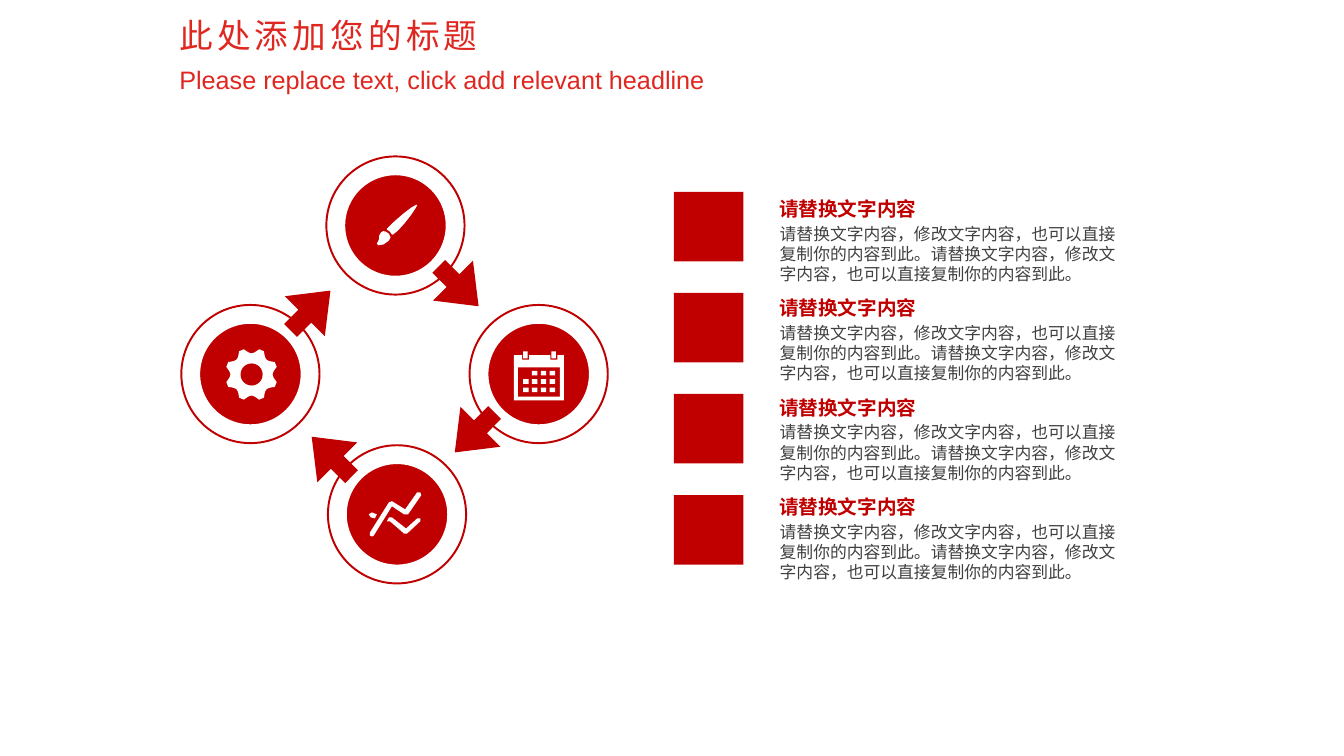
from math import cos, radians, sin

from pptx import Presentation
from pptx.dml.color import RGBColor
from pptx.enum.shapes import MSO_SHAPE
from pptx.enum.text import MSO_ANCHOR, MSO_AUTO_SIZE
from pptx.util import Pt

RED = RGBColor(0xC0, 0x00, 0x00)
TITLE = RGBColor(0xDF, 0x27, 0x20)
GRAY = RGBColor(0x40, 0x40, 0x40)
WHITE = RGBColor(0xFF, 0xFF, 0xFF)
OVAL, RECT, ARROW = MSO_SHAPE.OVAL, MSO_SHAPE.RECTANGLE, MSO_SHAPE.RIGHT_ARROW
TOP, MIDDLE = MSO_ANCHOR.TOP, MSO_ANCHOR.MIDDLE
GROW = MSO_AUTO_SIZE.SHAPE_TO_FIT_TEXT

HEAD = "请替换文字内容"
BODY = "请替换文字内容，修改文字内容，也可以直接复制你的内容到此。" * 2

BRUSH = [
    [(15.5, -14.4), (14.9, -14.9), (11.5, -13), (6, -8.8), (1, -4.5),
     (-2.5, -1.4), (-6.1, 2.2), (-6.1, 2.9), (-4, 4.3), (-2.5, 6.5),
     (-1.8, 6.5), (1.8, 3.6), (6.5, -1.6), (11.5, -8), (14.5, -12.6)],
    [(-10.4, 5), (-11.6, 7.2), (-11.7, 9.7), (-13.3, 13), (-12.2, 14.1),
     (-8.5, 13.5), (-4.7, 10.8), (-3.5, 8.3), (-4.7, 5.8), (-7, 4.3), (-8.8, 4)],
]
TREND = [
    [(-3.6, -5.8), (5, 0), (7.9, 0), (17.3, -13.7), (16.6, -15.8),
     (14.4, -15.8), (5.8, -3.6), (-3.6, -9.4), (-5.8, -8.6),
     (-19.4, 13), (-19.4, 15.1), (-18, 15.8), (-16.6, 15.1)],
    [(14.4, 2.9), (6.5, 10.1), (-3.6, 2.2), (-5.8, 2.2), (-7.2, 5),
     (-5, 5), (5, 13.7), (7.2, 13.7), (16.6, 5), (16.6, 2.9)],
    [(-18.7, 2.2), (-15.8, 2.9), (-14.4, 0), (-18, -1.4), (-20.2, 0)],
]
FRAME = [
    [(-17.8, -13.5), (-11.9, -13.5), (-11.9, -10.4), (-6.8, -10.4),
     (-6.8, -13.5), (8.3, -13.5), (8.3, -10.4), (13.3, -10.4),
     (13.3, -13.5), (18, -13.5), (18, 18.8), (-17.8, 18.8)],
    [(-14.8, -4.7), (-14.8, 16.2), (15.2, 16.2), (15.2, -4.7)],
]


def paint(shape, fill=None, line=None, weight=1):
    shape.shadow.inherit = False
    if fill is None:
        shape.fill.background()
    else:
        shape.fill.solid()
        shape.fill.fore_color.rgb = fill
    if line is None:
        shape.line.fill.background()
    else:
        shape.line.color.rgb = line
        shape.line.width = Pt(weight)
    return shape


def block(slide, kind, x, y, w, h, **style):
    shape = slide.shapes.add_shape(kind, Pt(x), Pt(y), Pt(w), Pt(h))
    return paint(shape, **style)


def disc(slide, x, y, size, **style):
    """Circle centred on x, y."""
    return block(slide, OVAL, x - size / 2, y - size / 2, size, size, **style)


def trace(slide, x, y, loops):
    """White outline whose loops are given in points around x, y."""
    pen = None
    for loop in loops:
        dots = [(round(a * 100), round(b * 100)) for a, b in loop]
        if pen is None:
            pen = slide.shapes.build_freeform(*dots[0], scale=Pt(1) / 100)
        else:
            pen.move_to(*dots[0])
        pen.add_line_segments(dots[1:], close=True)
    paint(pen.convert_to_shape(Pt(x), Pt(y)), fill=WHITE)


def write(slide, text, x, y, w, h, size, color, bold=False, anchor=TOP,
          wrap=True, lead=None, track=None):
    box = slide.shapes.add_textbox(Pt(x), Pt(y), Pt(w), Pt(h))
    frame = box.text_frame
    frame.word_wrap = wrap
    frame.auto_size = GROW
    frame.vertical_anchor = anchor
    para = frame.paragraphs[0]
    if lead:
        para.line_spacing = lead
    run = para.add_run()
    run.text = text
    font = run.font
    font.name, font.size, font.bold = "Arial", Pt(size), bold
    font.color.rgb = color
    if track:
        run._r.get_or_add_rPr().set("spc", str(track * 100))


def gear(slide, x, y):
    rim = []
    for turn in range(0, 360, 45):
        for step in range(-4, 5):
            angle = radians(turn + step * 4.2)
            reach = 15.1 + 3.7 * (step / 4) ** 2
            rim.append((reach * cos(angle), reach * sin(angle)))
    trace(slide, x + 0.8, y + 0.3, [rim])
    disc(slide, x + 0.8, y + 0.3, 15.8, fill=RED)


def brush(slide, x, y):
    trace(slide, x, y, BRUSH)


def trend(slide, x, y):
    trace(slide, x, y, TREND)


def dates(slide, x, y):
    """Calendar icon."""
    trace(slide, x, y, FRAME)
    for left in (-11.2, 9):
        block(slide, RECT, x + left, y - 16.2, 3.4, 5, fill=WHITE)
    for row in range(3):
        for col in range(4):
            if row or col:
                block(slide, RECT, x - 11.1 + col * 6.3, y - 2.3 + row * 6,
                      3.9, 3.3, fill=WHITE)


def cycle(slide, x, y):
    """Four ringed icons joined by arrows."""
    side = 40.3
    arrows = [(92.9, 110.8, 315), (198.7, 93.5, 45),
              (210.2, 197.9, 135), (108, 215.2, 225)]
    for dx, dy, turn in arrows:
        arrow = block(slide, ARROW, x + dx - side / 2, y + dy - side / 2,
                      side, side, fill=RED)
        arrow.adjustments[0], arrow.adjustments[1] = 0.32, 0.64
        arrow.rotation = turn
    nodes = [(50, 156.2, gear), (255.9, 156.2, dates),
             (153.6, 50.1, brush), (154.7, 256.4, trend)]
    for dx, dy, icon in nodes:
        disc(slide, x + dx, y + dy, 98.7, line=RED, weight=1.4)
        disc(slide, x + dx, y + dy, 76.3, fill=RED, line=WHITE, weight=4.5)
        icon(slide, x + dx, y + dy)


def notes(slide, x, y):
    """Four squares, each with a heading and a paragraph."""
    for row in range(4):
        block(slide, RECT, x, y + row * 72.2, 49.7, 49.7, fill=RED)
        top = y - 7 + row * 71
        write(slide, BODY, x + 68.5, top + 26, 263.5, 51, 12, GRAY)
        write(slide, HEAD, x + 68, top, 153.4, 29.5, 14, RED,
              bold=True, anchor=MIDDLE, lead=1.5)


def header(slide, x, y):
    write(slide, "此处添加您的标题", x, y, 607.7, 38.9, 24, TITLE,
          anchor=MIDDLE, lead=1.2, track=3)
    write(slide, "Please replace text, click add relevant headline",
          x, y + 39.6, 393, 29, 18, TITLE, wrap=False)


def main():
    deck = Presentation()
    deck.slide_width, deck.slide_height = Pt(960), Pt(540)
    slide = deck.slides.add_slide(deck.slide_layouts[6])
    notes(slide, 481.4, 137)
    cycle(slide, 128.9, 111)
    header(slide, 121, 2.9)
    deck.save("out.pptx")


if __name__ == "__main__":
    main()
